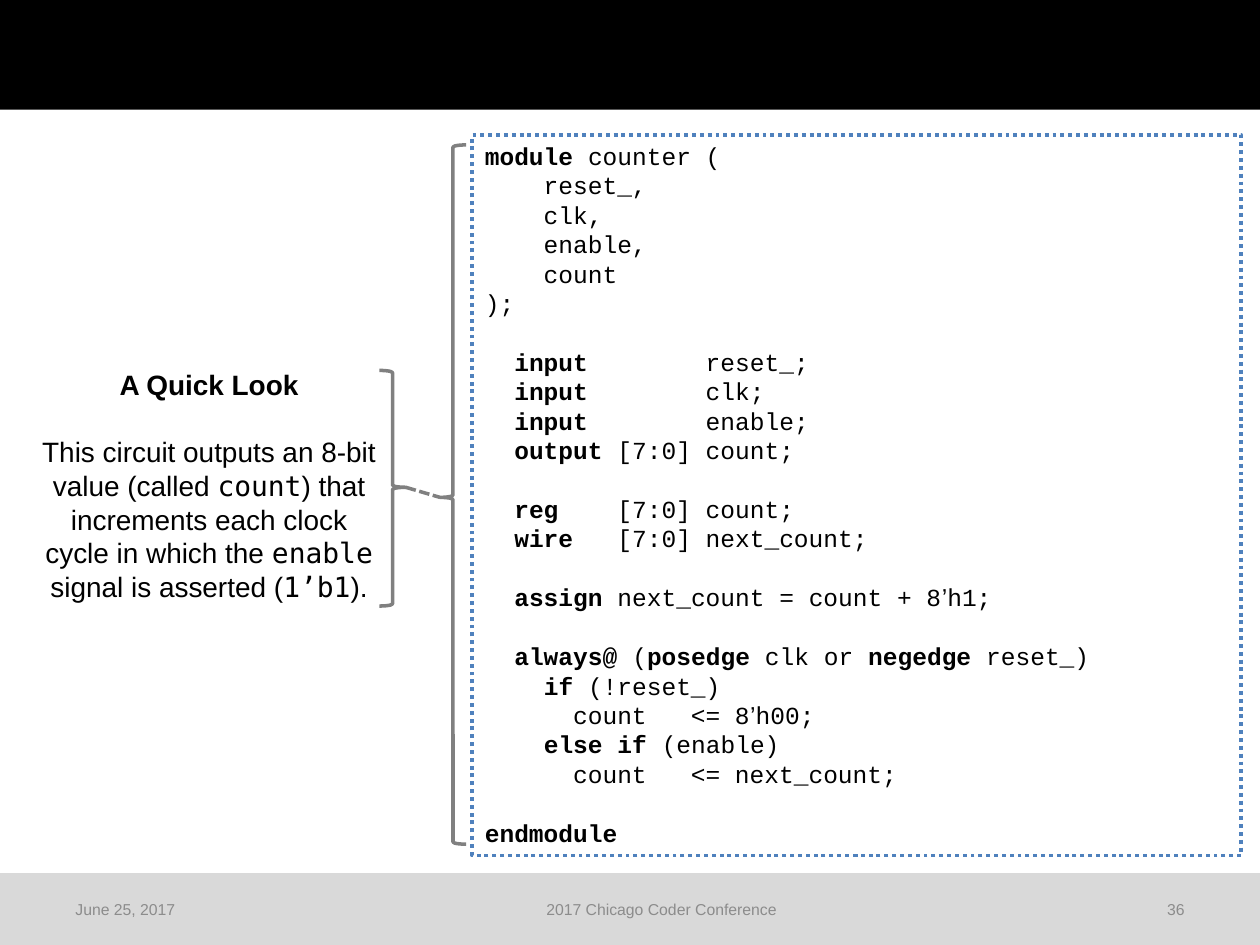
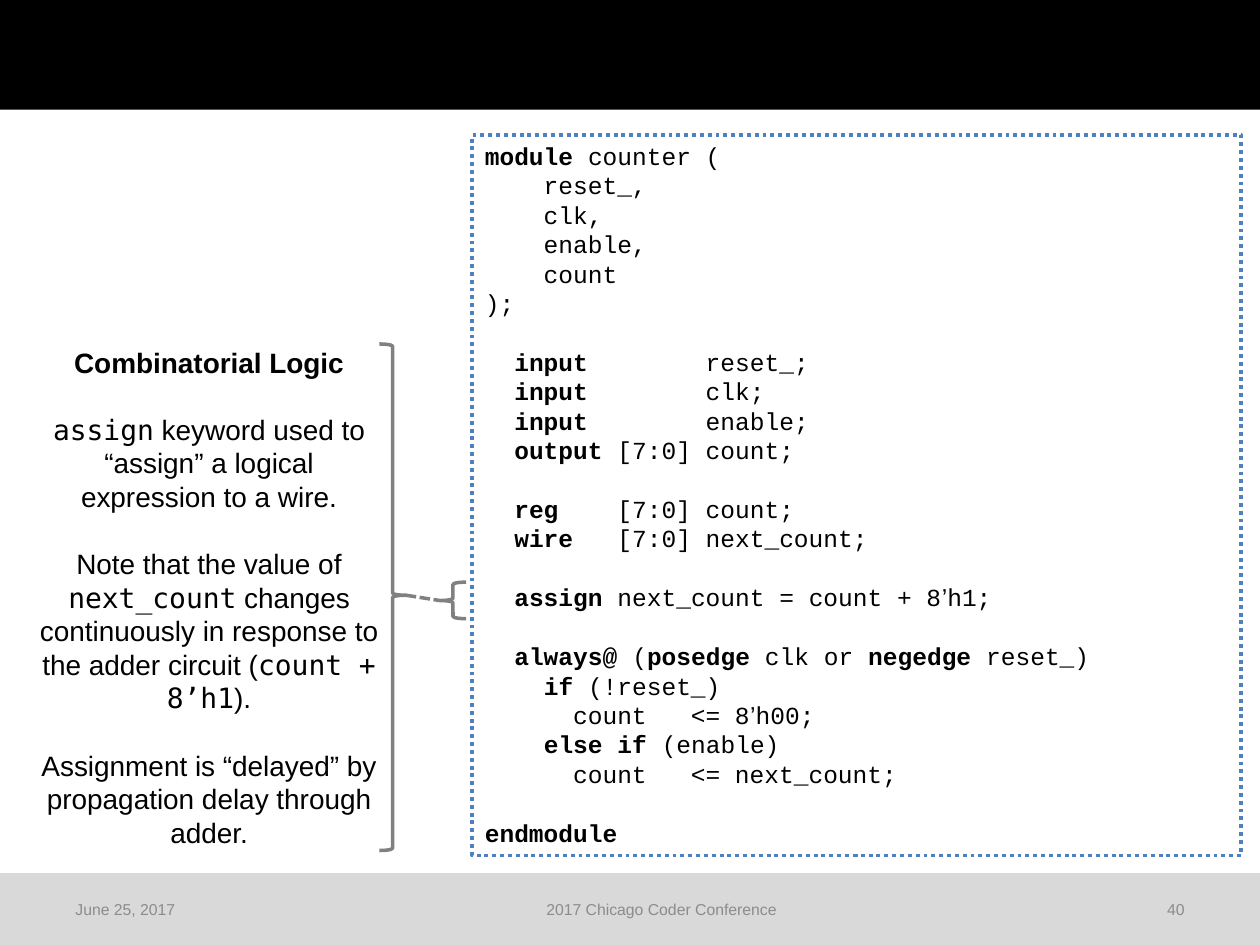
from dataclasses import dataclass

from pptx import Presentation
from pptx.dml.color import RGBColor
from pptx.enum.dml import MSO_LINE_DASH_STYLE as Dash
from pptx.enum.shapes import MSO_CONNECTOR as Connector, MSO_SHAPE as Shape
from pptx.enum.text import MSO_ANCHOR as Anchor, PP_ALIGN as Align
from pptx.oxml.ns import qn
from pptx.shapes.autoshape import Shape as AutoShape
from pptx.slide import Slide
from pptx.text.text import TextFrame
from pptx.util import Inches, Pt

BLACK = RGBColor(0x00, 0x00, 0x00)
BAND_GREY = RGBColor(0xD9, 0xD9, 0xD9)
FOOTER_GREY = RGBColor(0x8C, 0x8C, 0x8C)
BRACE_GREY = RGBColor(0x80, 0x80, 0x80)
FRAME_BLUE = RGBColor(0x4F, 0x81, 0xBD)

BRACE_WIDTH = 0.21
BRACE_CURVE, BRACE_TIP = 0.083, 0.504
NOTE_BRACE_LEFT, CODE_BRACE_LEFT = 3.01, 3.49
LEADING = 1.2


@dataclass(frozen=True)
class TextStyle:
    size: int
    font: str = "Arial"
    second_font: str = "Arial"
    color: RGBColor = BLACK
    align: Align = Align.LEFT


@dataclass(frozen=True)
class Area:
    left: float
    top: float
    width: float
    height: float

    def lengths(self) -> tuple:
        return tuple(Inches(n) for n in (self.left, self.top, self.width, self.height))


@dataclass(frozen=True)
class FooterItem:
    text: str
    left: float
    width: float
    align: Align


@dataclass(frozen=True)
class Span:
    top: float
    height: float


@dataclass(frozen=True)
class Lesson:
    page_number: int
    note: str
    note_box: Span
    note_brace: Span
    code_brace: Span


CODE_STYLE = TextStyle(14, "Courier New")
NOTE_STYLE = TextStyle(16, "Arial", "DejaVu Sans Mono", align=Align.CENTER)

# In marked text, * switches bold and ` switches to the second font.
CODE = """*module* counter (
    reset_,
    clk,
    enable,
    count
);

  *input*        reset_;
  *input*        clk;
  *input*        enable;
  *output* [7:0] count;

  *reg*    [7:0] count;
  *wire*   [7:0] next_count;

  *assign* next_count = count + 8`’`h1;

  *always@* (*posedge* clk or *negedge* reset_)
    *if* (!reset_)
      count   <= 8`’`h00;
    *else if* (enable)
      count   <= next_count;

*endmodule*"""

LESSONS = [
    Lesson(
        36,
        "*A Quick Look*\n\n"
        "This circuit outputs an 8-bit value (called `count`) that increments each "
        "clock cycle in which the `enable` signal is asserted (`1’b1`).",
        note_box=Span(2.87, 1.99),
        note_brace=Span(2.94, 1.87),
        code_brace=Span(1.15, 5.55),
    ),
    Lesson(
        40,
        "*Combinatorial Logic*\n\n"
        "`assign` keyword used to “assign” a logical expression to a wire.\n\n"
        "Note that the value of `next_count` changes continuously in response to "
        "the adder circuit (`count + 8’h1`).\n\n"
        "Assignment is “delayed” by propagation delay through adder.",
        note_box=Span(2.69, 4.14),
        note_brace=Span(2.73, 4.02),
        code_brace=Span(4.62, 0.29),
    ),
]


def add_marked_line(para, line: str, style: TextStyle) -> None:
    bold = second = False
    for part in line.replace("*", "\n*\n").replace("`", "\n`\n").split("\n"):
        if part == "*":
            bold = not bold
        elif part == "`":
            second = not second
        elif part:
            run = para.add_run()
            run.text = part
            values = {
                "size": Pt(style.size),
                "name": style.second_font if second else style.font,
                "bold": bold,
            }
            for name, value in values.items():
                setattr(run.font, name, value)
            run.font.color.rgb = style.color


def write_text(frame: TextFrame, text: str, style: TextStyle) -> None:
    """Write one paragraph a line; an empty line becomes space before the next."""
    frame.word_wrap = True
    leading = Pt(style.size * LEADING)
    para, gap = None, False
    for line in text.split("\n"):
        if not line:
            gap = True
            continue
        para = frame.add_paragraph() if para else frame.paragraphs[0]
        para.alignment = style.align
        para.line_spacing = leading
        if gap:
            para.space_before = leading
        add_marked_line(para, line, style)
        gap = False


def add_plain_shape(page: Slide, kind: Shape, area: Area) -> AutoShape:
    shape = page.shapes.add_shape(kind, *area.lengths())
    shape.shadow.inherit = False
    shape.fill.background()
    return shape


def format_line(line, color: RGBColor, width: float, dash: Dash = Dash.SOLID) -> None:
    line.color.rgb = color
    for name, value in {"width": Pt(width), "dash_style": dash}.items():
        setattr(line, name, value)


def add_band(page: Slide, top: float, height: float, color: RGBColor) -> None:
    band = add_plain_shape(page, Shape.RECTANGLE, Area(0, top, 10, height))
    band.fill.solid()
    band.fill.fore_color.rgb = color
    band.line.fill.background()


def add_text_box(page: Slide, area: Area, text: str, style: TextStyle) -> TextFrame:
    frame = page.shapes.add_textbox(*area.lengths()).text_frame
    write_text(frame, text, style)
    return frame


def add_bands_and_footer(page: Slide, page_number: int) -> None:
    add_band(page, 6.93, 0.57, BAND_GREY)
    add_band(page, 0, 0.87, BLACK)
    for item in (
        FooterItem("June 25, 2017", 0.5, 1.22, Align.LEFT),
        FooterItem("2017 Chicago Coder Conference", 1.72, 7.06, Align.CENTER),
        FooterItem(str(page_number), 8.78, 0.72, Align.RIGHT),
    ):
        style = TextStyle(9, color=FOOTER_GREY, align=item.align)
        frame = add_text_box(page, Area(item.left, 7.02, item.width, 0.4), item.text, style)
        frame.vertical_anchor = Anchor.MIDDLE


def add_code_frame(page: Slide) -> None:
    box = add_plain_shape(page, Shape.RECTANGLE, Area(3.75, 1.07, 6.1, 5.72))
    format_line(box.line, FRAME_BLUE, 2.25, Dash.ROUND_DOT)
    box.text_frame.vertical_anchor = Anchor.TOP
    write_text(box.text_frame, CODE, CODE_STYLE)


def add_brace(page: Slide, left: float, extent: Span, rotation: int = 0) -> float:
    """Draw a brace and return the height of its tip on the page."""
    area = Area(left, extent.top, BRACE_WIDTH, extent.height)
    brace = add_plain_shape(page, Shape.LEFT_BRACE, area)
    brace.adjustments[0] = BRACE_CURVE
    brace.adjustments[1] = BRACE_TIP
    brace.rotation = rotation
    format_line(brace.line, BRACE_GREY, 2)
    return extent.top + extent.height * (1 - BRACE_TIP if rotation else BRACE_TIP)


def add_braces_with_link(page: Slide, lesson: Lesson) -> None:
    note_tip = add_brace(page, NOTE_BRACE_LEFT, lesson.note_brace, rotation=180)
    code_tip = add_brace(page, CODE_BRACE_LEFT, lesson.code_brace)
    link = page.shapes.add_connector(
        Connector.STRAIGHT,
        Inches(NOTE_BRACE_LEFT + BRACE_WIDTH), Inches(note_tip),
        Inches(CODE_BRACE_LEFT), Inches(code_tip),
    )
    format_line(link.line, BRACE_GREY, 2, Dash.SQUARE_DOT)
    dash = link.line._get_or_add_ln().find(qn("a:prstDash"))
    dash.set("val", "sysDash")
    properties = link._element.spPr
    properties.append(properties.makeelement(qn("a:effectLst"), {}))


def main() -> None:
    deck = Presentation()
    deck.slide_width, deck.slide_height = Inches(10), Inches(7.5)
    blank_layout = deck.slide_layouts[6]
    for lesson in LESSONS:
        page = deck.slides.add_slide(blank_layout)
        add_bands_and_footer(page, lesson.page_number)
        add_code_frame(page)
        note_area = Area(0.21, lesson.note_box.top, 2.9, lesson.note_box.height)
        add_text_box(page, note_area, lesson.note, NOTE_STYLE)
        add_braces_with_link(page, lesson)
    deck.save("out.pptx")


if __name__ == "__main__":
    main()
